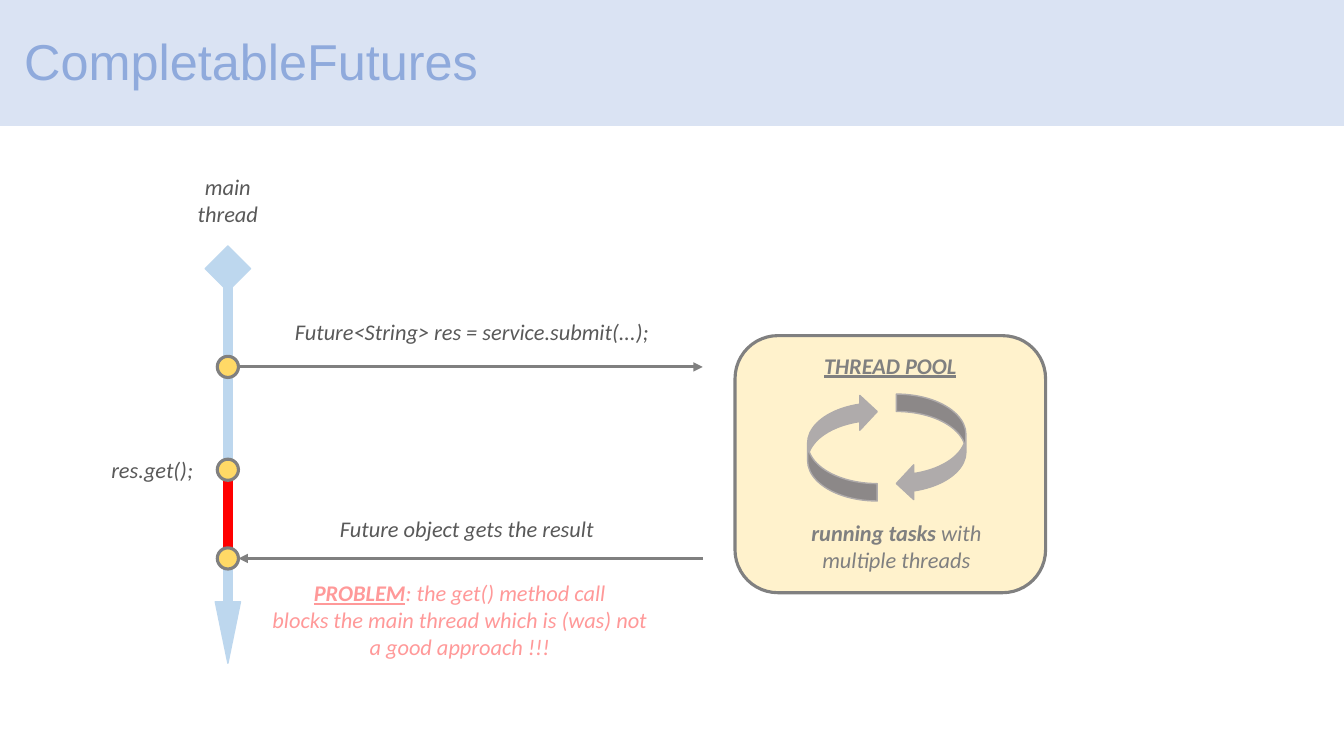
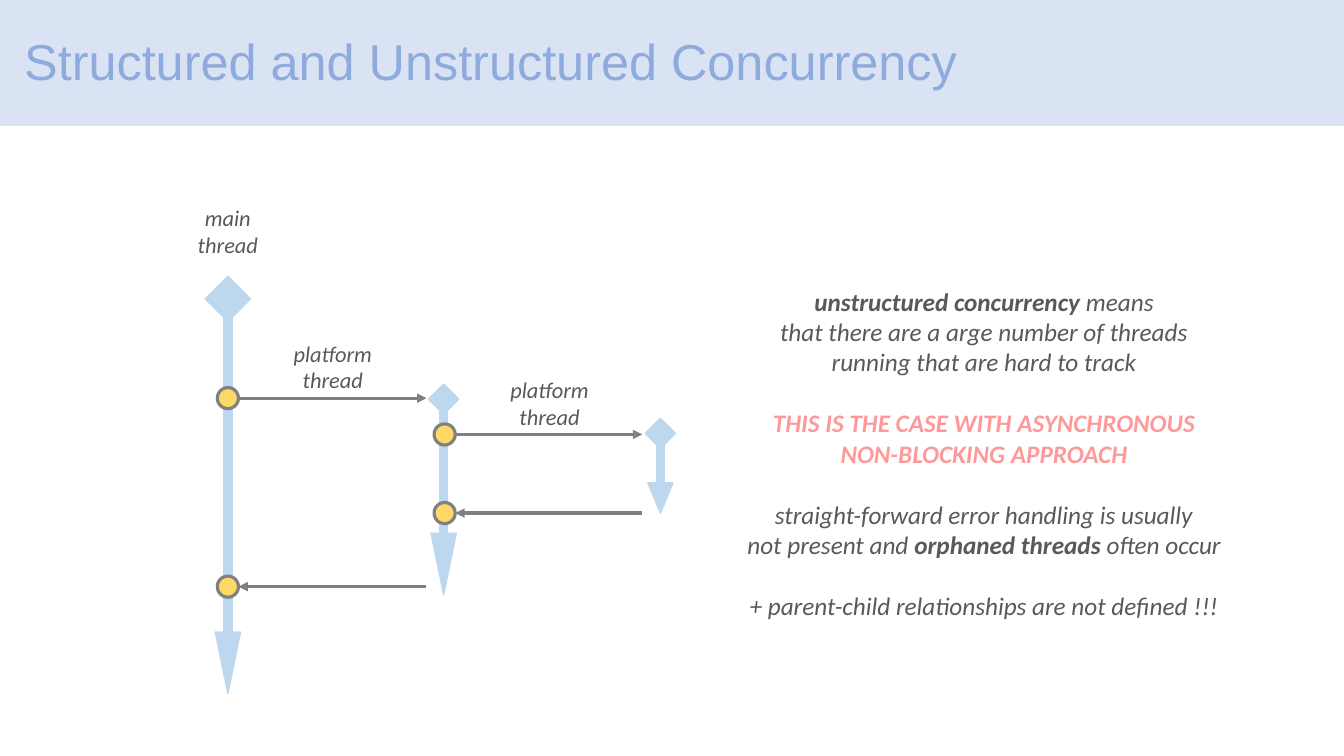
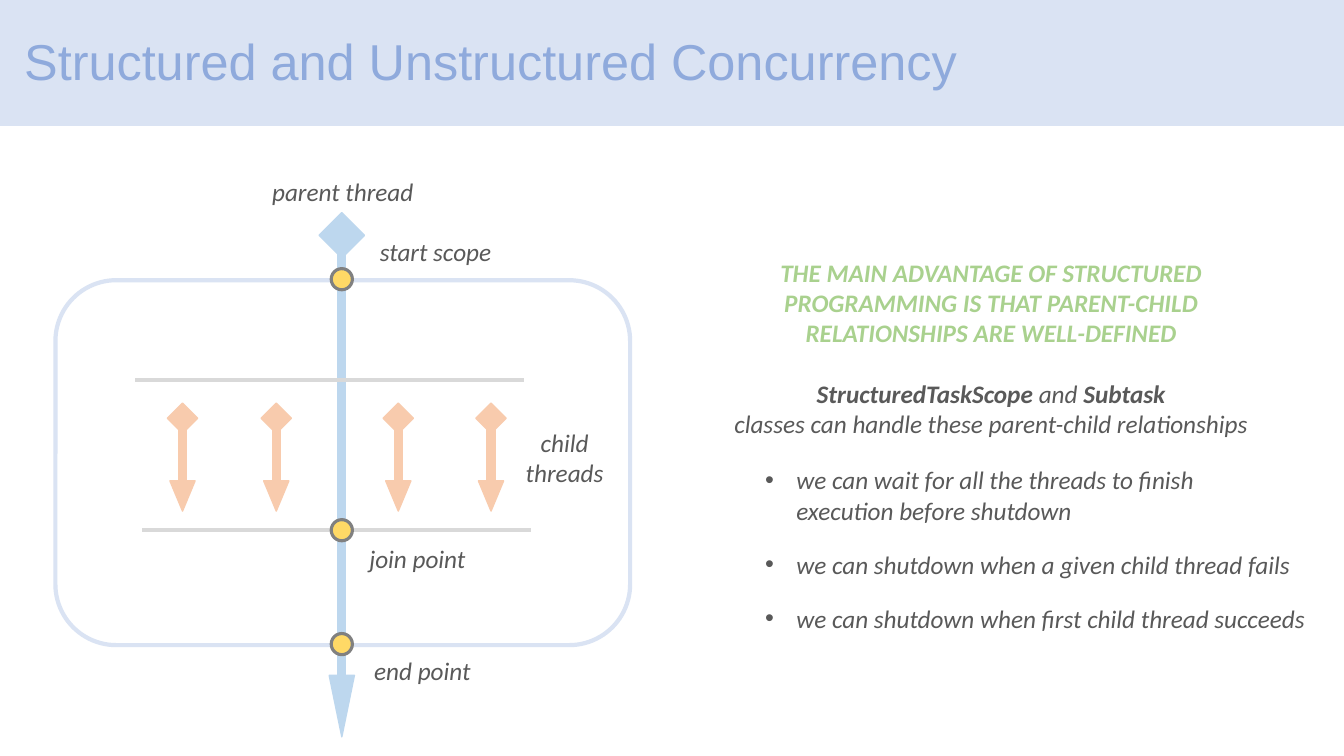
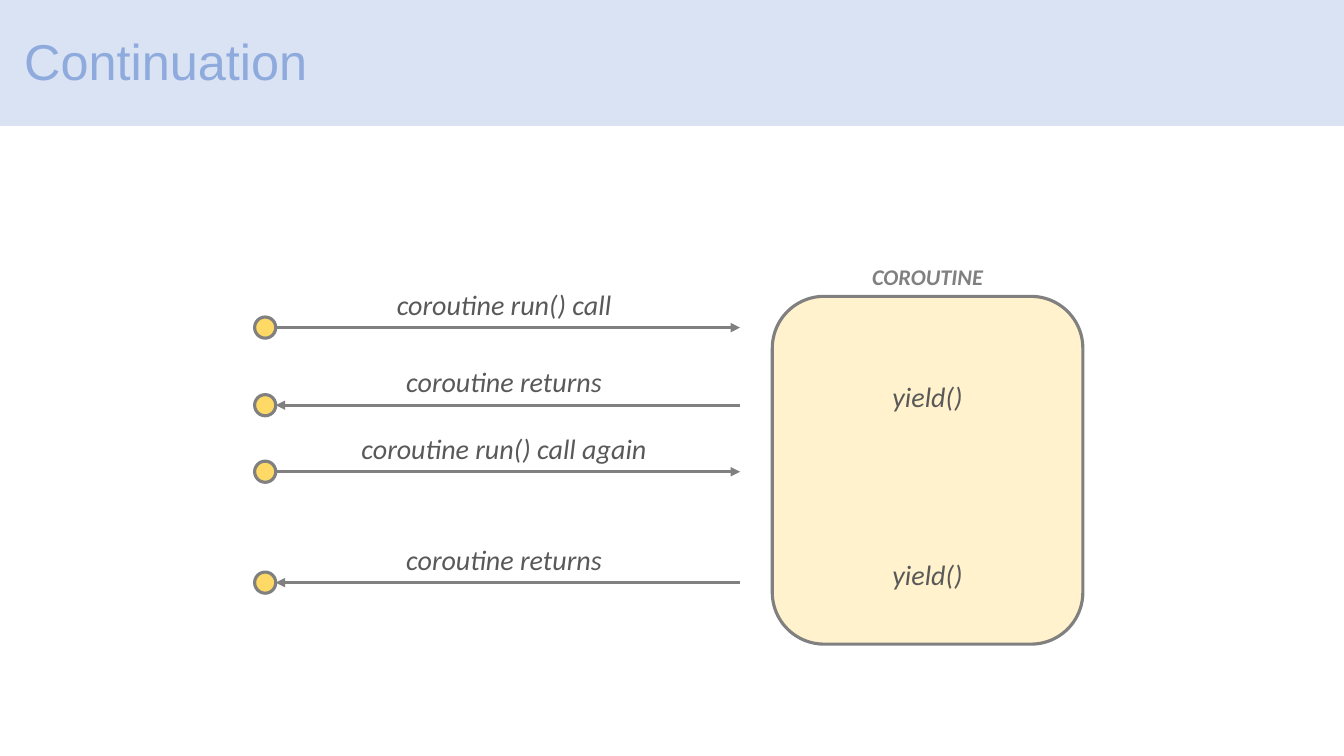
from collections import namedtuple

from pptx import Presentation
from pptx.dml.color import RGBColor
from pptx.enum.shapes import MSO_CONNECTOR, MSO_SHAPE
from pptx.enum.text import MSO_ANCHOR, MSO_AUTO_SIZE, PP_ALIGN
from pptx.oxml.ns import qn
from pptx.util import Inches, Pt
from lxml.etree import SubElement

BAND, TITLE = "DAE3F3", "8FAADC"
TEXT, GRAY, SILVER = "595959", "808080", "D9D9D9"
BLUE, ORANGE, YELLOW, CREAM = "BDD7EE", "F8CBAD", "FFD966", "FFF2CC"
RED, PINK, GREEN, ARROW_GRAY = "FF0000", "FF9999", "A9D18E", "AFABAB"

DOT = 0.21
MAIN_X = 2.26

Run = namedtuple("Run", "text bold underline color", defaults=(True, False, None))


def rgb(color):
    return RGBColor.from_string(color)


def add_shape(s, kind, x, y, w, h, fill=None, line=None, width=1, rotation=0):
    sp = s.shapes.add_shape(kind, Inches(x), Inches(y), Inches(w), Inches(h))
    sp.shadow.inherit = False
    sp.rotation = rotation
    if fill:
        sp.fill.solid()
        sp.fill.fore_color.rgb = rgb(fill)
    else:
        sp.fill.background()
    sp.line.color.rgb = rgb(line or fill)
    sp.line.width = Pt(width)
    return sp


def add_line(s, x1, x2, y, color=GRAY, width=2.25, arrow=True):
    """Horizontal line from x1 to x2, with an arrowhead at x2."""
    line = s.shapes.add_connector(
        MSO_CONNECTOR.STRAIGHT, Inches(x1), Inches(y), Inches(x2), Inches(y))
    line.line.color.rgb = rgb(color)
    line.line.width = Pt(width)
    properties = line.element.find(qn("p:spPr"))
    if arrow:
        SubElement(properties.find(qn("a:ln")), qn("a:tailEnd"), type="triangle")
    SubElement(properties, qn("a:effectLst"))


def add_runs(p, line, size, color=TEXT):
    """Fill a paragraph from a string, or from a list of strings and Runs."""
    for part in [line] if isinstance(line, str) else line:
        run = Run(part, False) if isinstance(part, str) else part
        r = p.add_run()
        r.text = run.text
        r.font.name = "Calibri"
        r.font.size = Pt(size)
        r.font.italic = True
        r.font.bold = run.bold
        r.font.underline = run.underline
        r.font.color.rgb = rgb(run.color or color)


def add_label(s, center, y, w, *blocks, size=16, color=TEXT):
    """Centred text; each block is a list of lines, one line apart from the next."""
    line_height = size / 60
    count = sum(map(len, blocks)) + len(blocks) - 1
    box = s.shapes.add_textbox(Inches(center - w / 2), Inches(y), Inches(w),
                               Inches(0.1 + count * line_height))
    tf = box.text_frame
    tf.word_wrap = False
    for b, block in enumerate(blocks):
        for i, line in enumerate(block):
            p = tf.add_paragraph() if b or i else tf.paragraphs[0]
            p.alignment = PP_ALIGN.CENTER
            if b and i == 0:
                p.space_before = Pt(size * 1.22)
            add_runs(p, line, size, color)


def add_bullets(s, x, y, w, h, items, size=18):
    tf = s.shapes.add_textbox(Inches(x), Inches(y), Inches(w), Inches(h)).text_frame
    tf.word_wrap = True
    for i, lines in enumerate(items):
        p = tf.add_paragraph() if i else tf.paragraphs[0]
        p.space_before = Pt(17 if i else 0)
        properties = p._p.get_or_add_pPr()
        properties.set("marL", str(Inches(0.31)))
        properties.set("indent", str(Inches(-0.31)))
        SubElement(properties, qn("a:buFont"), typeface="Arial")
        SubElement(properties, qn("a:buChar"), char="•")
        for n, line in enumerate(lines):
            if n:
                p.add_line_break()
            add_runs(p, line, size)


def add_dot(s, x, y):
    add_shape(s, MSO_SHAPE.OVAL, x - DOT / 2, y - DOT / 2, DOT, DOT, YELLOW, GRAY, 2.25)


def add_bar(s, x, top, bottom, color):
    add_shape(s, MSO_SHAPE.RECTANGLE, x - 0.04, top, 0.08, bottom - top, color)


def add_thread(s, x, top, bottom, head=0.3, tip=0.3, color=BLUE):
    """Vertical thread from a diamond down to a pointed end."""
    add_bar(s, x, top + head / 2, bottom - tip + 0.1, color)
    add_shape(s, MSO_SHAPE.ISOSCELES_TRIANGLE, x - 0.125, bottom - tip, 0.25, tip,
              color, rotation=180)
    add_shape(s, MSO_SHAPE.DIAMOND, x - head / 2, top, head, head, color)


def add_message(s, x, far, y, back=False):
    """Dot at x with an arrow to far, or from far if back is set."""
    edge = x + DOT / 2
    add_line(s, *((far, edge) if back else (edge, far)), y)
    add_dot(s, x, y)


def add_slide(prs, title):
    s = prs.slides.add_slide(prs.slide_layouts[5])
    sp = s.shapes.title
    sp.left, sp.top, sp.width, sp.height = map(Inches, (0.14, -0.09, 12.63, 1.45))
    band = add_shape(s, MSO_SHAPE.RECTANGLE, 0, 0, 13.33, 1.24, BAND)
    sp.element.addprevious(band.element)
    tf = sp.text_frame
    tf.auto_size = MSO_AUTO_SIZE.NONE
    tf.vertical_anchor = MSO_ANCHOR.MIDDLE
    p = tf.paragraphs[0]
    p.alignment = PP_ALIGN.LEFT
    p.line_spacing = 0.9
    r = p.add_run()
    r.text = title
    r.font.name = "Arial"
    r.font.size = Pt(36)
    r.font.color.rgb = rgb(TITLE)
    return s


def completable_futures(prs):
    s = add_slide(prs, "CompletableFutures")
    add_thread(s, MAIN_X, 2.44, 6.58, 0.45, 0.61)
    add_bar(s, MAIN_X, 4.67, 5.51, RED)
    add_message(s, MAIN_X, 6.97, 3.64)
    add_dot(s, MAIN_X, 4.66)
    add_message(s, MAIN_X, 6.97, 5.54, back=True)
    add_label(s, MAIN_X, 1.67, 0.81, ["main", "thread"])
    add_label(s, 4.68, 3.11, 3.76, ["Future<String> res = service.submit(...);"])
    add_label(s, 1.51, 4.48, 1.02, ["res.get();"])
    add_label(s, 4.63, 5.06, 2.75, ["Future object gets the result"])
    add_label(s, 4.56, 5.7, 3.97,
              [[Run("PROBLEM", underline=True), ": the get() method call"],
               "blocks the main thread which is (was) not",
               "a good approach !!!"], color=PINK)

    add_shape(s, MSO_SHAPE.ROUNDED_RECTANGLE, 7.29, 3.33, 3.08, 2.55, CREAM, GRAY, 2.25)
    add_label(s, 8.83, 3.44, 1.53, [[Run("THREAD POOL", underline=True)]], color=GRAY)
    for x, rotation in ((8.89, 0), (8.01, 180)):
        add_shape(s, MSO_SHAPE.CURVED_LEFT_ARROW, x, 3.91, 0.69, 1.06, ARROW_GRAY,
                  rotation=rotation)
    add_label(s, 8.89, 5.1, 1.91,
              [[Run("running tasks "), "with"], "multiple threads"], color=GRAY)


def unstructured_concurrency(prs):
    s = add_slide(prs, "Structured and Unstructured Concurrency")
    add_thread(s, MAIN_X, 2.74, 6.88, 0.45, 0.61)
    add_thread(s, 4.4, 3.81, 5.9, tip=0.61)
    add_thread(s, 6.55, 4.15, 5.09)
    for x, far, call, result in ((MAIN_X, 4.23, 3.95, 5.82), (4.41, 6.37, 4.31, 5.09)):
        add_message(s, x, far, call)
        add_message(s, x, far, result, back=True)
        add_label(s, x + 1.04, call - 0.63, 1, ["platform", "thread"])
    add_label(s, MAIN_X, 1.98, 0.81, ["main", "thread"])
    add_label(s, 9.76, 2.79, 4.96,
              [[Run("unstructured concurrency "), "means"],
               "that there are a arge number of threads",
               "running that are hard to track"],
              [[Run("THIS IS THE CASE WITH ASYNCHRONOUS", color=PINK)],
               [Run("NON-BLOCKING APPROACH", color=PINK)]],
              ["straight-forward error handling is usually",
               ["not present and ", Run("orphaned threads "), "often occur"]],
              ["+ parent-child relationships are not defined !!!"], size=18)


def structured_concurrency(prs):
    s = add_slide(prs, "Structured and Unstructured Concurrency")
    parent_x = 3.39
    add_line(s, 1.41, 5.27, 5.26, SILVER, 3, arrow=False)
    add_shape(s, MSO_SHAPE.ROUNDED_RECTANGLE, 0.55, 2.78, 5.7, 3.62, line=BAND, width=3)
    add_thread(s, parent_x, 2.11, 7.31, 0.45, 0.61)
    for y in (2.77, 5.26, 6.39):
        add_dot(s, parent_x, y)
    add_line(s, 1.34, 5.2, 3.77, SILVER, 3, arrow=False)
    for x in (1.81, 2.74, 3.95, 4.87):
        add_thread(s, x, 4, 5.07, color=ORANGE)
    for x, y, w, lines in (
            (3.4, 1.7, 1.62, ["parent thread"]),
            (4.32, 2.3, 1.32, ["start scope"]),
            (4.14, 5.34, 1.17, ["join point"]),
            (4.19, 6.45, 1.17, ["end point"]),
            (5.6, 4.19, 0.98, ["child", "threads"])):
        add_label(s, x, y, w, lines, size=18)
    advantage = ("THE MAIN ADVANTAGE OF STRUCTURED",
                 "PROGRAMMING IS THAT PARENT-CHILD",
                 "RELATIONSHIPS ARE WELL-DEFINED")
    add_label(s, 9.83, 2.5, 5.36,
              [[Run(line, color=GREEN)] for line in advantage],
              [[Run("StructuredTaskScope"), " and ", Run("Subtask")],
               "classes can handle these parent-child relationships"], size=18)
    add_bullets(s, 7.49, 4.56, 5.8, 1.78, [
        ["we can wait for all the threads to finish", "execution before shutdown"],
        ["we can shutdown when a given child thread fails"],
        ["we can shutdown when first child thread succeeds"]])


def continuation(prs):
    s = add_slide(prs, "Continuation")
    add_shape(s, MSO_SHAPE.ROUNDED_RECTANGLE, 7.66, 2.94, 3.08, 3.45, CREAM, GRAY, 2.25)
    add_label(s, 9.2, 2.56, 1.37, [[Run("COROUTINE")]], color=GRAY)
    for y in (3.72, 5.48):
        add_label(s, 9.2, y, 0.91, ["yield()"], size=20)
    for y, w, text, back in (
            (3.25, 2.35, "coroutine run() call", False),
            (4.02, 2.2, "coroutine returns", True),
            (4.68, 3.06, "coroutine run() call again", False),
            (5.78, 2.2, "coroutine returns", True)):
        add_message(s, 2.63, 7.34, y, back)
        add_label(s, 5, y - 0.45, w, [text], size=20)


def main():
    prs = Presentation()
    prs.slide_width, prs.slide_height = Inches(13.33), Inches(7.5)
    completable_futures(prs)
    unstructured_concurrency(prs)
    structured_concurrency(prs)
    continuation(prs)
    prs.save("out.pptx")


if __name__ == "__main__":
    main()
